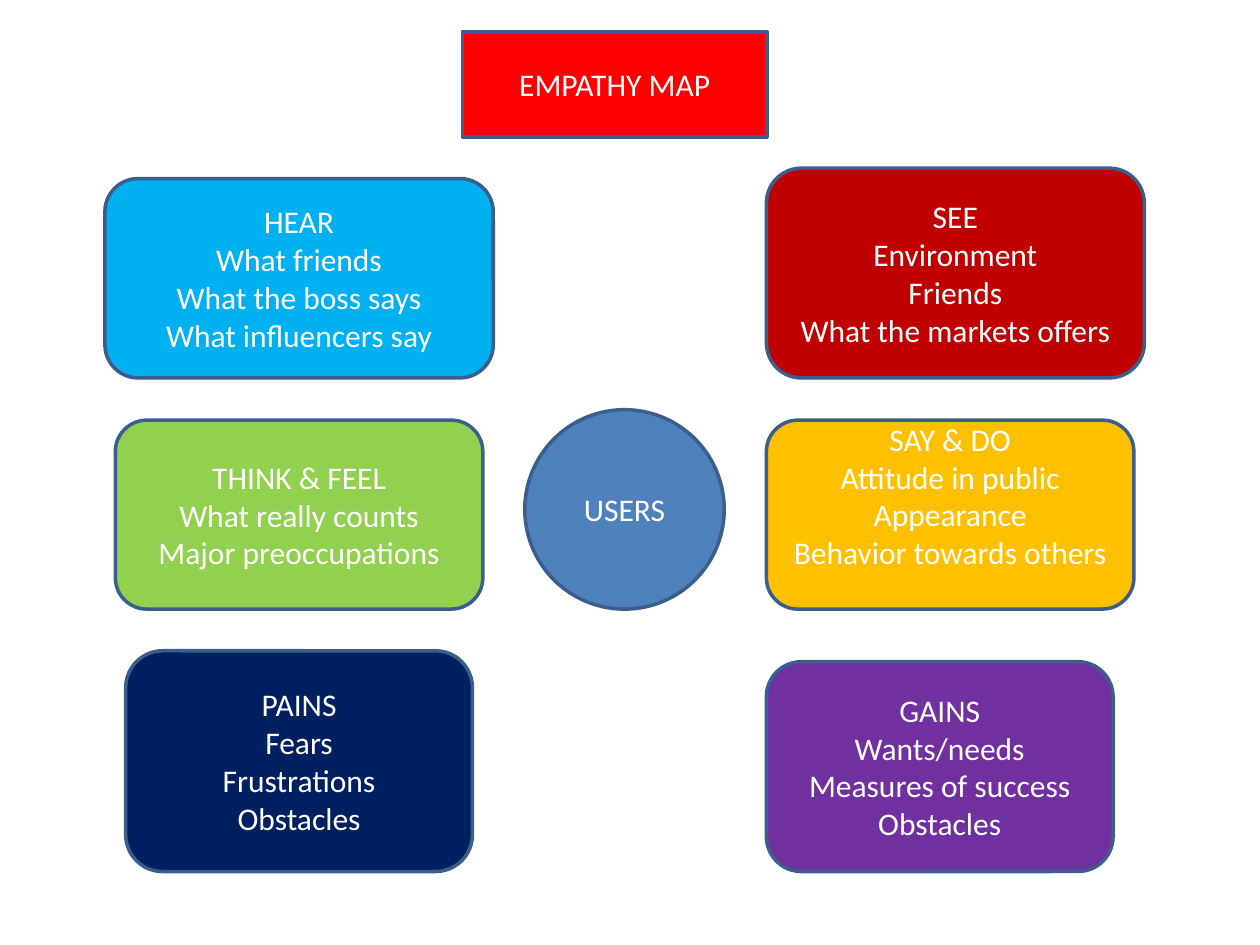
from dataclasses import dataclass

from pptx import Presentation
from pptx.dml.color import RGBColor
from pptx.enum.shapes import MSO_SHAPE as Preset
from pptx.enum.text import MSO_ANCHOR as Anchor, MSO_AUTO_SIZE as AutoSize, PP_ALIGN as Align
from pptx.util import Cm, Pt


@dataclass(frozen=True)
class Theme:
    """Colours and type of the slide."""
    font: str = "Calibri"
    size: int = 18
    text: str = "FFFFFF"
    outline: str = "3A5F8C"
    outline_width: int = 2
    title: str = "FF0000"
    users: str = "4F81BD"
    hear: str = "00B0F0"
    see: str = "C00000"
    think: str = "92D050"
    say: str = "FFC000"
    pains: str = "002060"
    gains: str = "7030A0"


THEME = Theme()
LEFT_CENTRE = 6.03   # the left cards share a centre line
RIGHT_EDGE = 15.45   # the right cards share a left edge

# top, width, height, colour, lines, lower text inset
LEFT_CARDS = [
    (3.6, 7.83, 4.02, THEME.hear,
     ["HEAR", "What friends", "What the boss says", "What influencers say"], 0.13),
    (8.47, 7.41, 3.81, THEME.think,
     ["THINK & FEEL", "What really counts", "Major preoccupations"], 0.13),
    (13.12, 6.99, 4.45, THEME.pains,
     ["PAINS", "Fears", "Frustrations", "Obstacles"], 0.13),
]
RIGHT_CARDS = [
    (3.39, 7.62, 4.23, THEME.see,
     ["SEE", "Environment", "Friends", "What the markets offers"], 0.13),
    (8.47, 7.41, 3.81, THEME.say,
     ["SAY & DO", "Attitude in public", "Appearance", "Behavior towards others"], 0.9),
    (13.34, 6.99, 4.23, THEME.gains,
     ["GAINS", "Wants/needs", "Measures of success", "Obstacles"], 0.13),
]


def format_box(shape, colour, lines, lower_inset=0.13):
    """Fill and outline a shape and write its centred lines."""
    shape.fill.solid()
    shape.fill.fore_color.rgb = RGBColor.from_string(colour)
    shape.line.color.rgb = RGBColor.from_string(THEME.outline)
    shape.line.width = Pt(THEME.outline_width)
    frame = shape.text_frame
    frame.word_wrap = True
    frame.auto_size = AutoSize.NONE
    frame.vertical_anchor = Anchor.MIDDLE
    frame.margin_bottom = Cm(lower_inset)
    for index, line in enumerate(lines):
        paragraph = frame.add_paragraph() if index else frame.paragraphs[0]
        paragraph.alignment = Align.CENTER
        run = paragraph.add_run()
        run.text = line
        run.font.name = THEME.font
        run.font.size = Pt(THEME.size)
        run.font.color.rgb = RGBColor.from_string(THEME.text)


def place_title(slide, left, top, width, height):
    """Turn the title placeholder into the heading box."""
    title = slide.shapes.title
    title.left, title.top = Cm(left), Cm(top)
    title.width, title.height = Cm(width), Cm(height)
    format_box(title, THEME.title, ["EMPATHY MAP"])


def add_box(slide, preset, box, colour, lines, lower_inset=0.13):
    """Add a preset shape with text in the given box."""
    shape = slide.shapes.add_shape(preset, *map(Cm, box))
    shape.shadow.inherit = False
    format_box(shape, colour, lines, lower_inset)


def add_column(slide, cards, find_left):
    """Add a column of rounded cards, each placed by its width."""
    for top, width, height, colour, lines, lower_inset in cards:
        box = (find_left(width), top, width, height)
        add_box(slide, Preset.ROUNDED_RECTANGLE, box, colour, lines, lower_inset)


def build():
    """Build and save the empathy map."""
    presentation = Presentation()
    presentation.slide_width, presentation.slide_height = Cm(25.4), Cm(19.05)
    slide = presentation.slides.add_slide(presentation.slide_layouts[5])
    place_title(slide, 9.32, 0.64, 6.14, 2.12)
    add_column(slide, LEFT_CARDS, lambda width: LEFT_CENTRE - width / 2)
    add_column(slide, RIGHT_CARDS, lambda width: RIGHT_EDGE)
    add_box(slide, Preset.OVAL, (10.58, 8.26, 4.02, 4.02), THEME.users, ["USERS"])
    presentation.save("out.pptx")


build()
